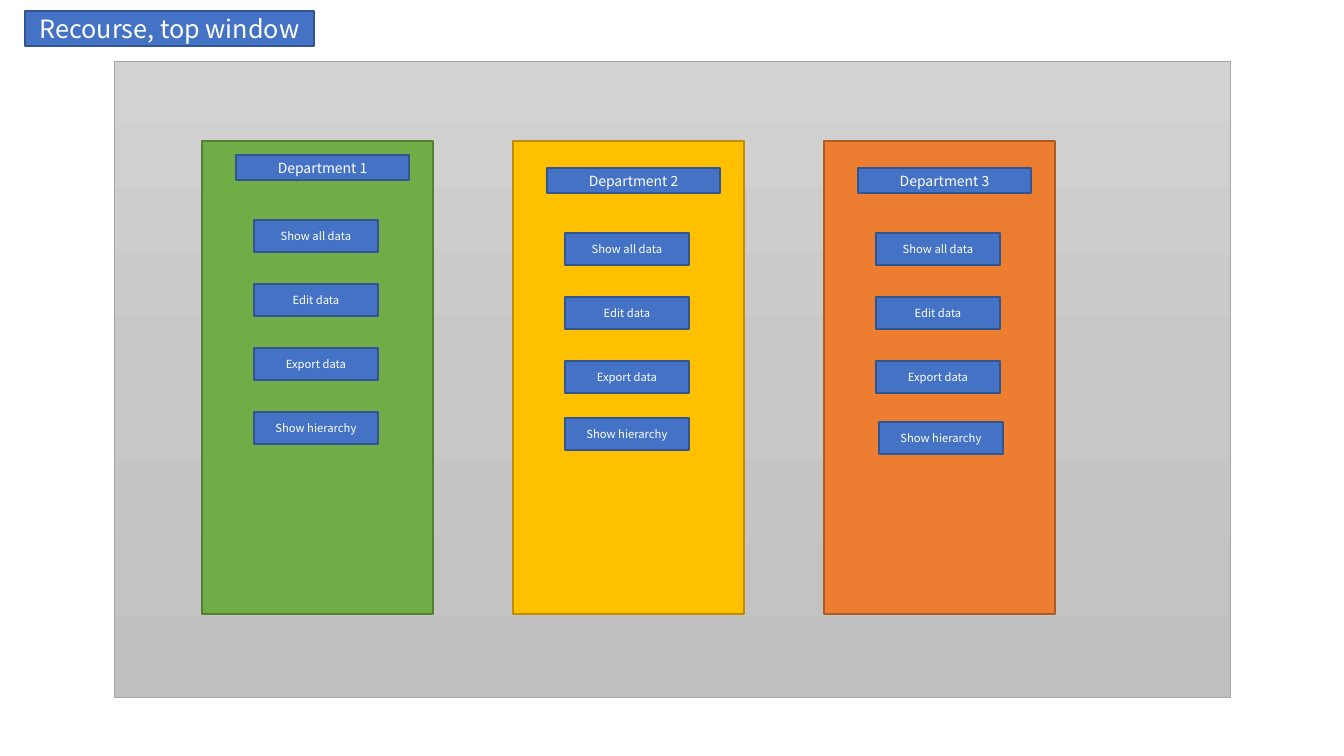
"""Build the top window slide with three department panels and their buttons."""
from copy import deepcopy
from dataclasses import dataclass

from pptx import Presentation, util as u
from pptx.dml.color import RGBColor
from pptx.enum import shapes, text
from pptx.oxml import ns

SCALE = 914400 / 100.8
FONT = "Noto Sans CJK JP"
WHITE = RGBColor(0xFF, 0xFF, 0xFF)
BLUE = RGBColor(0x44, 0x72, 0xC4)
BLUE_EDGE = RGBColor(0x32, 0x54, 0x91)
GREEN = RGBColor(0x70, 0xAD, 0x47)
GREEN_EDGE = RGBColor(0x53, 0x80, 0x35)
YELLOW = RGBColor(0xFF, 0xC0, 0x00)
YELLOW_EDGE = RGBColor(0xBD, 0x8E, 0x00)
ORANGE = RGBColor(0xED, 0x7D, 0x31)
ORANGE_EDGE = RGBColor(0xAF, 0x5C, 0x24)
GRAY_EDGE = RGBColor(0xA5, 0xA5, 0xA5)
WINDOW_GRADIENT = (
    (0, RGBColor(0xD2, 0xD2, 0xD2)),
    (0.5, RGBColor(0xC8, 0xC8, 0xC8)),
    (1, RGBColor(0xC0, 0xC0, 0xC0)),
)

PANEL_LEFT, PANEL_TOP, PANEL_PITCH = 202, 141, 311
HEADING_INSET, BUTTON_INSET = 34, 52
FIRST_BUTTON_DROP, BUTTON_PITCH = 65, 64
ACTIONS = ("Show all data", "Edit data", "Export data")


@dataclass(frozen=True)
class Box:
    left: int
    top: int
    width: int
    height: int


@dataclass(frozen=True)
class Department:
    name: str
    fill: RGBColor
    edge: RGBColor
    heading_top: int
    hierarchy_top: int
    hierarchy_shift: int = 0


DEPARTMENTS = (
    Department("Department 1", GREEN, GREEN_EDGE, 155, 412),
    Department("Department 2", YELLOW, YELLOW_EDGE, 168, 418),
    Department("Department 3", ORANGE, ORANGE_EDGE, 168, 422, 3),
)


def px(pixels: int) -> u.Emu:
    return u.Emu(round(pixels * SCALE))


def add_box(slide, box: Box, edge: RGBColor, edge_width: float = 1):
    panel = slide.shapes.add_shape(
        shapes.MSO_SHAPE.RECTANGLE,
        px(box.left), px(box.top), px(box.width), px(box.height))
    panel.shadow.inherit = False
    panel.line.color.rgb = edge
    panel.line.width = u.Pt(edge_width)
    return panel


def add_solid(slide, box: Box, fill: RGBColor, edge: RGBColor):
    panel = add_box(slide, box, edge)
    panel.fill.solid()
    panel.fill.fore_color.rgb = fill
    return panel


def add_label(slide, box: Box, caption: str, size: int) -> None:
    frame = add_solid(slide, box, BLUE, BLUE_EDGE).text_frame
    frame.text = caption
    frame.word_wrap = True
    frame.vertical_anchor = text.MSO_ANCHOR.MIDDLE
    paragraph = frame.paragraphs[0]
    paragraph.alignment = text.PP_ALIGN.CENTER
    font = paragraph.runs[0].font
    font.name, font.size, font.color.rgb = FONT, u.Pt(size), WHITE


def add_window(slide, box: Box) -> None:
    window = add_box(slide, box, GRAY_EDGE, 0.5)
    window.fill.gradient()
    window.fill.gradient_angle = 270
    stop_list = next(window._element.iter(ns.qn("a:gsLst")))
    stop_list.insert(1, deepcopy(stop_list[0]))
    for stop, (position, color) in zip(window.fill.gradient_stops, WINDOW_GRADIENT):
        stop.position = position
        stop.color.rgb = color


def add_department(slide, department: Department, left: int) -> None:
    add_solid(slide, Box(left, PANEL_TOP, 231, 473), department.fill, department.edge)
    add_label(slide, Box(left + HEADING_INSET, department.heading_top, 173, 25),
              department.name, 10)
    button_left = left + BUTTON_INSET
    first_top = department.heading_top + FIRST_BUTTON_DROP
    buttons = [(action, button_left, first_top + row * BUTTON_PITCH)
               for row, action in enumerate(ACTIONS)]
    buttons.append(("Show hierarchy", button_left + department.hierarchy_shift,
                    department.hierarchy_top))
    for caption, x, y in buttons:
        add_label(slide, Box(x, y, 124, 32), caption, 8)


def main() -> None:
    deck = Presentation()
    deck.slide_width, deck.slide_height = px(1344), px(756)
    slide = deck.slides.add_slide(deck.slide_layouts[6])
    add_window(slide, Box(114, 61, 1116, 636))
    add_label(slide, Box(25, 11, 289, 35), "Recourse, top window", 18)
    for column, department in enumerate(DEPARTMENTS):
        add_department(slide, department, PANEL_LEFT + column * PANEL_PITCH)
    deck.save("out.pptx")


main()
